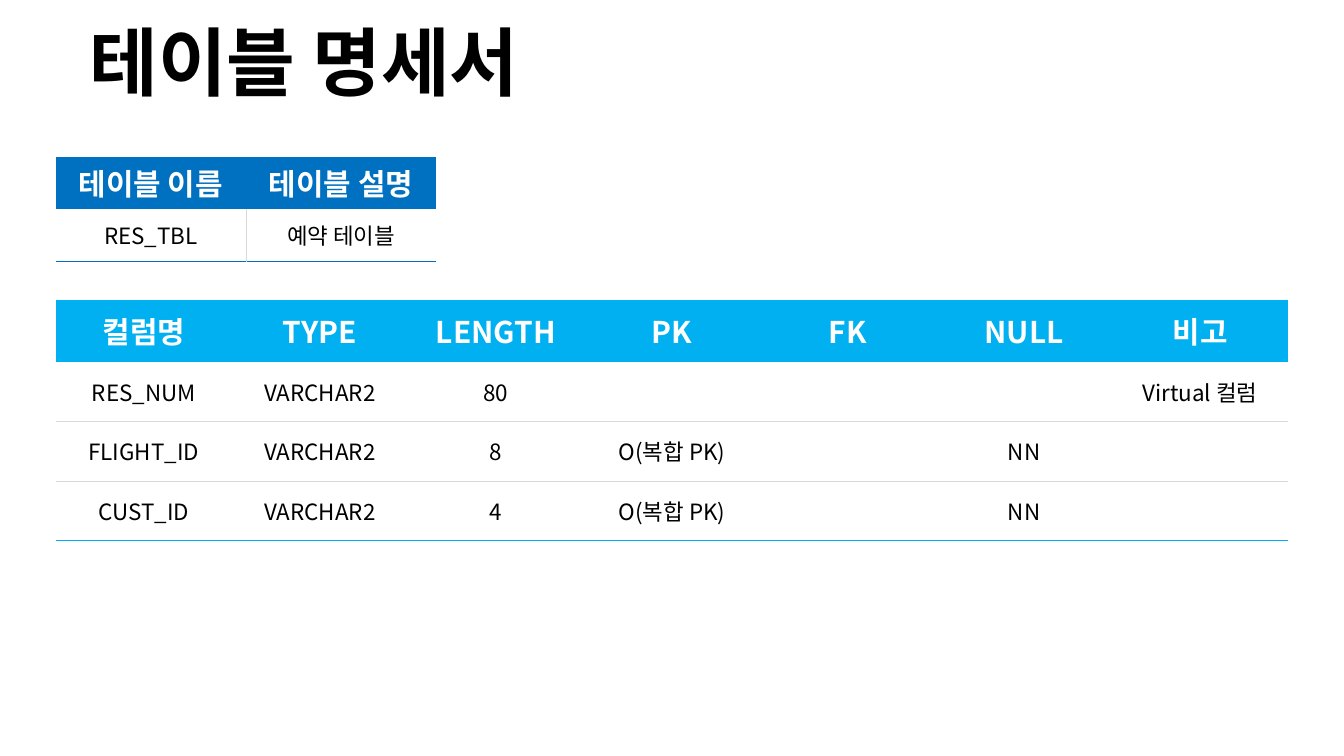
"""Build the table specification slide for the reservation table."""
import dataclasses
from typing import Optional

import lxml.etree
import pptx
import pptx.dml.color
import pptx.enum.text
import pptx.oxml.ns
import pptx.util
from pptx.util import Inches

FONT = "Noto Sans CJK KR"
NO_STYLE = "{2D5ABB26-0587-4C30-8999-92F81FD0307C}"
COLORS = {
    "text": "000000",
    "header_text": "FFFFFF",
    "name_header": "0070C0",
    "column_header": "00B0F0",
    "rule": "D9D9D9",
}


@dataclasses.dataclass
class SpecTable:
    top: float
    column_width: float
    header_height: float
    row_height: float
    header_color: str
    rows: list[list[str]]
    column_rule: Optional[float] = None


TABLES = [
    SpecTable(4.46, 2.62, 0.92, 0.89, "column_header", [
        ["컬럼명", "TYPE", "LENGTH", "PK", "FK", "NULL", "비고"],
        ["RES_NUM", "VARCHAR2", "80", "", "", "", "Virtual 컬럼"],
        ["FLIGHT_ID", "VARCHAR2", "8", "O(복합 PK)", "", "NN", ""],
        ["CUST_ID", "VARCHAR2", "4", "O(복합 PK)", "", "NN", ""],
    ]),
    SpecTable(2.33, 2.83, 0.78, 0.78, "name_header", [
        ["테이블 이름", "테이블 설명"],
        ["RES_TBL", "예약 테이블"],
    ], column_rule=1),
]


def add_run(p, text: str, size: float, color: str, bold: bool) -> None:
    """Add one formatted run to a paragraph."""
    r = p.add_run()
    r.text = text
    r.font.size = pptx.util.Pt(size)
    r.font.bold = bold
    r.font.name = FONT
    r.font.color.rgb = pptx.dml.color.RGBColor.from_string(COLORS[color])
    ea = lxml.etree.SubElement(r.font._element, pptx.oxml.ns.qn("a:ea"))
    ea.set("typeface", FONT)


def set_borders(cell, borders: dict[str, tuple[str, float]]) -> None:
    """Draw the given sides of a cell, listed in the order L, R, T, B."""
    qn = pptx.oxml.ns.qn
    tc_pr = cell._tc.get_or_add_tcPr()
    for i, (side, (color, width)) in enumerate(borders.items()):
        ln = lxml.etree.Element(qn(f"a:ln{side}"), w=str(pptx.util.Pt(width)))
        fill = lxml.etree.SubElement(ln, qn("a:solidFill"))
        lxml.etree.SubElement(fill, qn("a:srgbClr"), val=COLORS[color])
        tc_pr.insert(i, ln)


def body_borders(spec: SpecTable, row: int, col: int) -> dict[str, tuple[str, float]]:
    """Return the borders of a body cell."""
    borders = {}
    if spec.column_rule and col > 0:
        borders["L"] = ("rule", spec.column_rule)
    if spec.column_rule and col < len(spec.rows[0]) - 1:
        borders["R"] = ("rule", spec.column_rule)
    if row > 1:
        borders["T"] = ("rule", 0.5)
    last = row == len(spec.rows) - 1
    borders["B"] = (spec.header_color, 1) if last else ("rule", 0.5)
    return borders


def add_spec_table(s, spec: SpecTable) -> None:
    """Add a table with a filled header and ruled body rows."""
    n_rows, n_cols = len(spec.rows), len(spec.rows[0])
    height = spec.header_height + spec.row_height * (n_rows - 1)
    frame = s.shapes.add_table(n_rows, n_cols, Inches(0.83), Inches(spec.top),
                               Inches(spec.column_width * n_cols), Inches(height))
    frame._element.xpath(".//a:tableStyleId")[0].text = NO_STYLE
    table = frame.table
    table.horz_banding = False
    for column in table.columns:
        column.width = Inches(spec.column_width)
    for i, texts in enumerate(spec.rows):
        header = i == 0
        table.rows[i].height = Inches(spec.header_height if header else spec.row_height)
        for j, text in enumerate(texts):
            cell = table.cell(i, j)
            cell.vertical_anchor = pptx.enum.text.MSO_ANCHOR.MIDDLE
            if header:
                cell.fill.solid()
                cell.fill.fore_color.rgb = pptx.dml.color.RGBColor.from_string(
                    COLORS[spec.header_color])
            else:
                cell.fill.background()
                set_borders(cell, body_borders(spec, i, j))
            if text:
                p = cell.text_frame.paragraphs[0]
                p.alignment = pptx.enum.text.PP_ALIGN.CENTER
                add_run(p, text, 32 if header else 24,
                        "header_text" if header else "text", header)


def add_title(s, text: str) -> None:
    """Place and format the title placeholder."""
    sp = s.shapes.title
    sp.left, sp.top = Inches(1.33), Inches(0.46)
    sp.width, sp.height = Inches(6.72), Inches(1.56)
    tf = sp.text_frame
    tf.margin_left = tf.margin_right = tf.margin_top = tf.margin_bottom = 0
    tf.auto_size = pptx.enum.text.MSO_AUTO_SIZE.NONE
    tf.vertical_anchor = pptx.enum.text.MSO_ANCHOR.TOP
    p = tf.paragraphs[0]
    p.alignment = pptx.enum.text.PP_ALIGN.LEFT
    p.line_spacing = 0.83
    p.space_before = pptx.util.Pt(0)
    add_run(p, text, 80, "text", True)


def main() -> None:
    """Create and save the presentation."""
    prs = pptx.Presentation()
    prs.slide_width, prs.slide_height = Inches(20), Inches(11.25)
    s = prs.slides.add_slide(prs.slide_layouts[5])
    add_title(s, "테이블 명세서")
    for spec in TABLES:
        add_spec_table(s, spec)
    prs.save("out.pptx")


if __name__ == "__main__":
    main()
